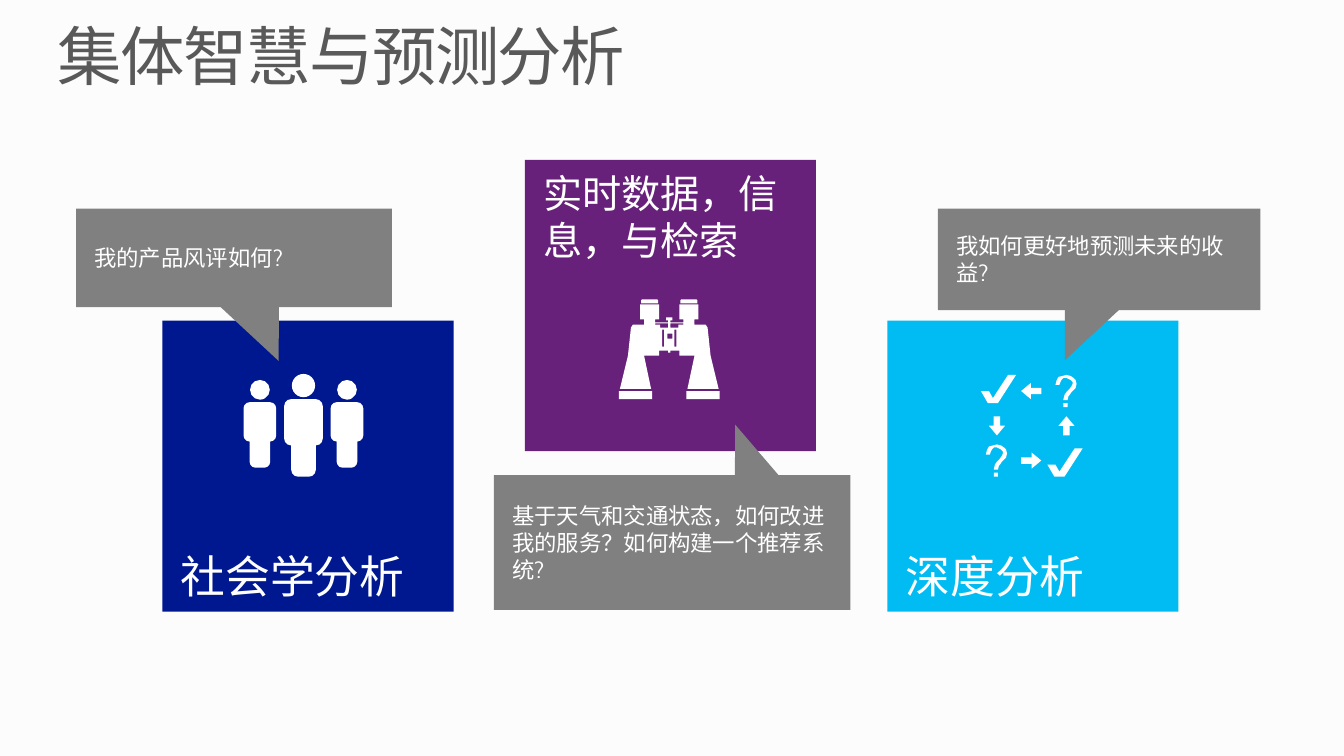
from pptx import Presentation
from pptx.dml.color import RGBColor
from pptx.enum.shapes import MSO_SHAPE
from pptx.enum.text import MSO_ANCHOR, PP_ALIGN
from pptx.util import Pt

RECT, ROUND, OVAL = MSO_SHAPE.RECTANGLE, MSO_SHAPE.ROUNDED_RECTANGLE, MSO_SHAPE.OVAL
TRIANGLE = MSO_SHAPE.ISOSCELES_TRIANGLE
LEFT, RIGHT = MSO_SHAPE.LEFT_ARROW, MSO_SHAPE.RIGHT_ARROW
UP, DOWN = MSO_SHAPE.UP_ARROW, MSO_SHAPE.DOWN_ARROW
TOP, MIDDLE, BOTTOM = MSO_ANCHOR.TOP, MSO_ANCHOR.MIDDLE, MSO_ANCHOR.BOTTOM

COLORS = {"back": "FCFCFC", "title": "595959", "white": "FFFFFF", "callout": "808080",
          "social": "00188F", "search": "68217A", "depth": "00BCF2"}
FONT = "Cabin"

# Content
TITLE = "集体智慧与预测分析"
TILES = [  # text, colour, top, anchor, size
    ("社会学分析", "social", 229, BOTTOM, 32),
    ("实时数据，信息，与检索", "search", 114.3, TOP, 28),
    ("深度分析", "depth", 229, BOTTOM, 32),
]
CALLOUTS = [  # text, box, pointer box, pointer rotation
    ("我的产品风评如何?", (54.4, 149, 225.6, 70.5), (165.6, 207.4, 46, 52.6), 156.5),
    ("基于天气和交通状态，如何改进我的服务？如何构建一个推荐系统?",
     (352.8, 339.3, 254.7, 96.3), (514.1, 301.7, 41, 54.7), 339.9),
    ("我如何更好地预测未来的收益?", (670, 149, 230.4, 72.5), (748.2, 206.8, 46, 52.6), 203.5),
]
TILE_LEFT, TILE_STEP, TILE_SIZE = 116, 258.9, 208

# Icon outlines, in icon units
UNIT = 0.72
PEOPLE = [  # left, top, body width, body height, full height, corner, head top, head size
    (174, 287.3, 23.3, 28.1, 46.8, 4.3, 271.4, 14.1),
    (203, 285.1, 27.6, 33.1, 55.4, 5, 267.1, 16.6),
    (236.2, 287.3, 23.3, 28.1, 46.8, 4.3, 271.4, 14.1),
]
CHECK = [(35, 0), (17, 28), (7, 28), (0, 16), (8, 16), (12, 23), (27, 0)]
QUESTION = [(12, 25), (13, 21), (14, 20), (16, 17), (20, 13), (21, 9), (20, 5), (18, 3),
            (15, 1), (11, 0), (7, 1), (3, 2), (1, 6), (0, 10), (4, 10), (5, 7), (6, 5),
            (8, 3), (11, 3), (13, 4), (15, 5), (17, 7), (17, 9), (16, 11), (14, 14),
            (11, 17), (9, 20), (8, 24), (8, 25)]
DOT = [(8, 28), (12, 28), (12, 32), (8, 32)]
CYCLE_MARKS = [(CHECK, 0, 0), (CHECK, 66, 73), (QUESTION, 74, 0), (DOT, 74, 0),
               (QUESTION, 5, 69), (DOT, 5, 69)]
CYCLE_ARROWS = [(LEFT, 40, 8, 20, 16), (RIGHT, 40, 77, 20, 16),
                (DOWN, 8, 41, 16, 19), (UP, 77, 41, 16, 19)]
CYCLE_AT, BINOCULARS_AT = (700.6, 267.8), (442.1, 213.8)
BARREL = [(50, 53), (49, 53), (49, 51), (40, 51), (40, 56), (25, 56), (32, 89), (1, 89),
          (9, 56), (12, 28), (14, 25), (25, 25), (25, 20), (21, 20), (21, 5), (40, 5),
          (40, 20), (36, 20), (36, 23), (49, 23), (49, 21), (47, 21), (47, 18), (50, 18)]
BINOCULAR_PARTS = [  # left half; the right half mirrors it
    [(22, 4), (22, 1), (23, 0), (38, 0), (39, 1), (39, 4)],
    [(0, 91), (33, 91), (33, 99), (0, 99)],
    [(36, 24), (49, 24), (49, 28), (41, 28), (41, 25), (36, 25)],
    [(43, 30), (45, 30), (45, 47), (43, 47)],
]
HINGE = [(48, 34), (53, 34), (53, 39), (48, 39)]

prs = Presentation()
prs.slide_width, prs.slide_height = Pt(960), Pt(540)
s = prs.slides.add_slide(prs.slide_layouts[6])
s.background.fill.solid()
s.background.fill.fore_color.rgb = RGBColor.from_string(COLORS["back"])


def paint(sp, color):
    sp.fill.solid()
    sp.fill.fore_color.rgb = RGBColor.from_string(COLORS[color])
    sp.line.fill.background()
    sp.shadow.inherit = False
    return sp


def shape(kind, x, y, w, h, color="white"):
    return paint(s.shapes.add_shape(kind, Pt(x), Pt(y), Pt(w), Pt(h)), color)


def write(sp, text, size, color, anchor, margins=(0, 0)):
    tf = sp.text_frame
    tf.word_wrap = True
    tf.vertical_anchor = anchor
    tf.margin_left = tf.margin_right = Pt(margins[0])
    tf.margin_top = tf.margin_bottom = Pt(margins[1])
    p = tf.paragraphs[0]
    p.alignment = PP_ALIGN.LEFT
    r = p.add_run()
    r.text = text
    p.font.name, p.font.size = FONT, Pt(size)
    p.font.color.rgb = RGBColor.from_string(COLORS[color])
    return p


def outline(contours, at):
    fb = s.shapes.build_freeform(*contours[0][0], scale=Pt(UNIT))
    for i, points in enumerate(contours):
        if i:
            fb.move_to(*points[0])
        fb.add_line_segments(points[1:], close=True)
    return paint(fb.convert_to_shape(Pt(at[0]), Pt(at[1])), "white")


def mirror(points):
    return [(100 - x, y) for x, y in reversed(points)]


def rounded(x, y, w, h, corner):
    shape(ROUND, x, y, w, h).adjustments[0] = corner / min(w, h)


# Title
box = s.shapes.add_textbox(Pt(41), Pt(18), Pt(877.7), Pt(50.4))
p = write(box, TITLE, 46, "title", TOP)
p.line_spacing = 0.9
p.runs[0]._r.get_or_add_rPr().set("spc", "-100")

# Tiles
for i, (text, color, top, anchor, size) in enumerate(TILES):
    tile = shape(RECT, TILE_LEFT + i * TILE_STEP, top, TILE_SIZE, TILE_SIZE, color)
    write(tile, text, size, "white", anchor, (13, 6.5))

# People icon
for x, y, w, body, full, corner, head_top, head in PEOPLE:
    rounded(x, y, w, body, corner)
    rounded(x + corner, y + body / 2, w - 2 * corner, full - body / 2, corner)
    shape(OVAL, x + (w - head) / 2, head_top, head, head)

# Binoculars icon
halves = BINOCULAR_PARTS + [mirror(part) for part in BINOCULAR_PARTS]
outline([BARREL + mirror(BARREL), *halves, HINGE], BINOCULARS_AT)

# Question and check cycle icon
outline([[(x + dx, y + dy) for x, y in mark] for mark, dx, dy in CYCLE_MARKS], CYCLE_AT)
for kind, x, y, w, h in CYCLE_ARROWS:
    arrow = shape(kind, CYCLE_AT[0] + x * UNIT, CYCLE_AT[1] + y * UNIT, w * UNIT, h * UNIT)
    arrow.adjustments[0], arrow.adjustments[1] = 0.4, 0.6

# Callouts
for text, place, pointer, rotation in CALLOUTS:
    shape(TRIANGLE, *pointer, "callout").rotation = rotation
    write(shape(RECT, *place, "callout"), text, 16, "white", MIDDLE, (13, 6.5))

prs.save("out.pptx")
